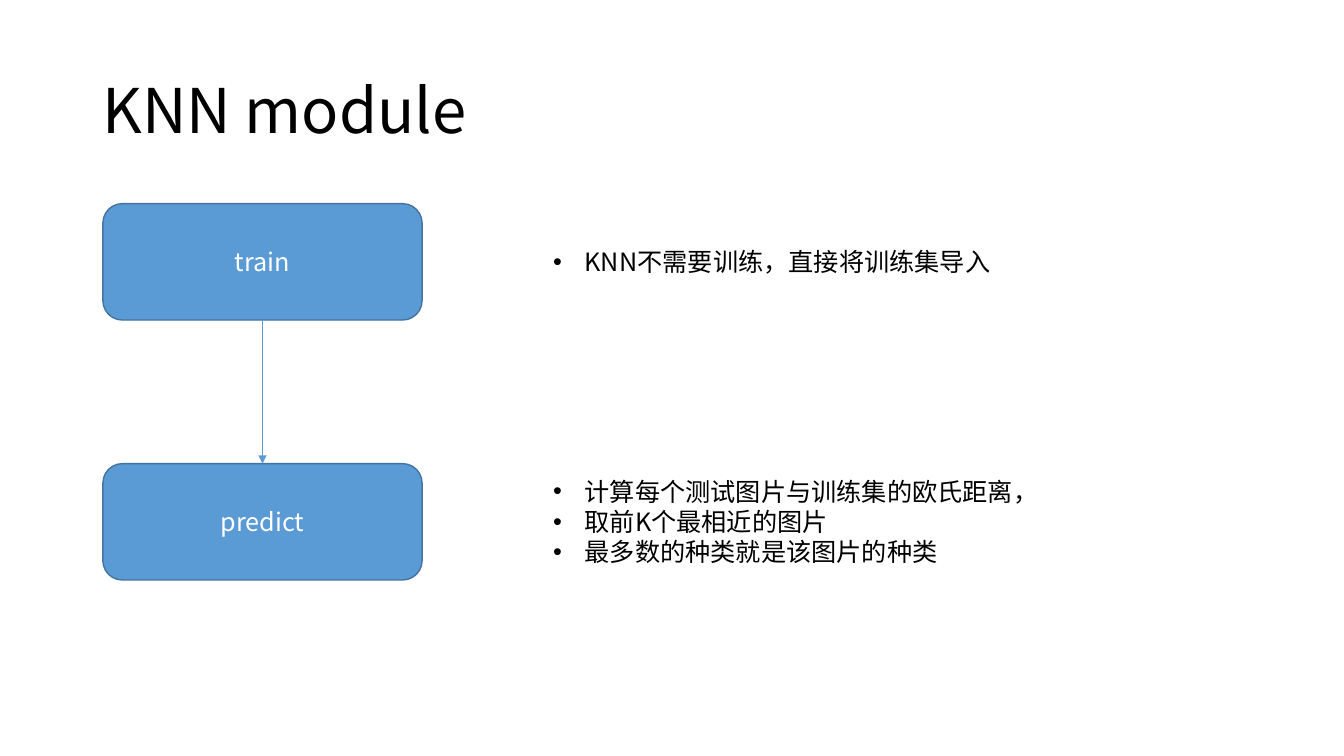
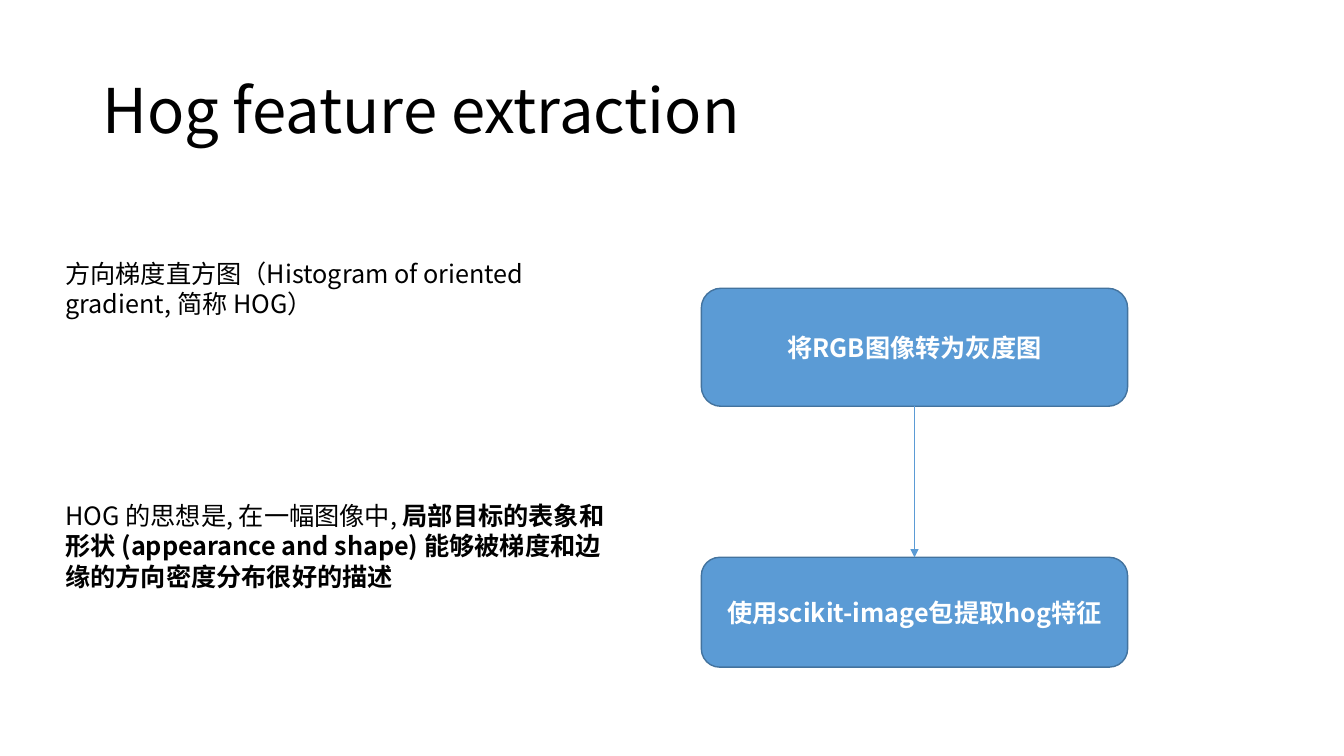
"""Build two slides that explain a KNN module and HOG features."""
from dataclasses import dataclass

from lxml.etree import SubElement
from pptx import Presentation
from pptx.dml.color import RGBColor
from pptx.enum.shapes import MSO_CONNECTOR, MSO_SHAPE
from pptx.enum.text import MSO_ANCHOR, PP_ALIGN
from pptx.oxml.ns import qn
from pptx.util import Inches, Pt


@dataclass(frozen=True)
class Theme:
    font: str = "Noto Sans CJK SC"
    ink: str = "000000"
    paper: str = "FFFFFF"
    fill: str = "5B9BD5"
    edge: str = "43739E"
    head: int = 44
    body: int = 18
    cols: int = 64
    rows: int = 36
    cell: int = Inches(7.5) // 36
    line: float = 1.46
    pad: float = 0.46
    hang: float = 1.5


class Deck:
    def __init__(self, theme):
        self.theme = theme
        self.prs = Presentation()
        self.prs.slide_width = self.size(theme.cols)
        self.prs.slide_height = self.size(theme.rows)

    def size(self, cells):
        return round(cells * self.theme.cell)

    def place(self, *cells):
        return [self.size(n) for n in cells]

    def style(self, para, color, size, bold=False):
        for run in para.runs:
            run.font.size = Pt(size)
            run.font.bold = bold
            run.font.color.rgb = RGBColor.from_string(color)
            run.font.name = self.theme.font
            SubElement(run.font._element, qn("a:ea"), typeface=self.theme.font)

    def slide(self, title):
        self.page = self.prs.slides.add_slide(self.prs.slide_layouts[6])
        frame = self.text(4.4, 1.92, 55.2, 6.96, [title], self.theme.head)
        frame.vertical_anchor = MSO_ANCHOR.MIDDLE
        frame.paragraphs[0].line_spacing = 0.9

    def text(self, x, y, w, h, lines, size=None):
        area = self.page.shapes.add_textbox(*self.place(x, y, w, h))
        frame = area.text_frame
        frame.word_wrap = True
        frame.text = "\n".join(lines)
        for para in frame.paragraphs:
            self.style(para, self.theme.ink, size or self.theme.body)
        return frame

    def notes(self, x, mid, w, lines):
        high = self.theme.line * len(lines) + self.theme.pad
        frame = self.text(x, mid - high / 2, w, high, lines)
        hang = self.size(self.theme.hang)
        for para in frame.paragraphs:
            props = para._p.get_or_add_pPr()
            props.set("marL", str(hang))
            props.set("indent", str(-hang))
            SubElement(props, qn("a:buFont"), typeface="Arial")
            SubElement(props, qn("a:buChar"), char="•")

    def box(self, x, y, w, h, label, bold=False):
        shape = self.page.shapes.add_shape(
            MSO_SHAPE.ROUNDED_RECTANGLE, *self.place(x, y, w, h))
        shape.shadow.inherit = False
        shape.fill.solid()
        shape.fill.fore_color.rgb = RGBColor.from_string(self.theme.fill)
        shape.line.color.rgb = RGBColor.from_string(self.theme.edge)
        shape.line.width = Pt(1)
        frame = shape.text_frame
        frame.text = label
        frame.word_wrap = True
        frame.vertical_anchor = MSO_ANCHOR.MIDDLE
        para = frame.paragraphs[0]
        para.alignment = PP_ALIGN.CENTER
        self.style(para, self.theme.paper, self.theme.body, bold)
        return shape

    def arrow(self, start, end):
        link = self.page.shapes.add_connector(MSO_CONNECTOR.STRAIGHT, 0, 0, 0, 0)
        link.begin_connect(start, 2)
        link.end_connect(end, 0)
        link.line.color.rgb = RGBColor.from_string(self.theme.fill)
        link.line.width = Pt(0.5)
        SubElement(link.line._get_or_add_ln(), qn("a:tailEnd"), type="triangle")
        SubElement(link._element.spPr, qn("a:effectLst"))


def knn(deck):
    deck.slide("KNN module")
    high = 5.54
    steps = [
        (9.7, "train", ["KNN不需要训练，直接将训练集导入"]),
        (22.08, "predict", ["计算每个测试图片与训练集的欧氏距离，",
                            "取前K个最相近的图片",
                            "最多数的种类就是该图片的种类"]),
    ]
    boxes = []
    for top, label, lines in steps:
        boxes.append(deck.box(4.9, top, 15.2, high, label))
        deck.notes(25.87, top + high / 2, 29.18, lines)
    deck.arrow(*boxes)


def hog(deck):
    deck.slide("Hog feature extraction")
    steps = [(13.73, 5.62, "将RGB图像转为灰度图"),
             (26.54, 5.23, "使用scikit-image包提取hog特征")]
    deck.arrow(*[deck.box(33.4, top, 20.3, high, label, True)
                 for top, high, label in steps])
    frame = deck.text(2.64, 12.05, 26.7, 16.46, [
        "方向梯度直方图（Histogram of oriented gradient, 简称 HOG）",
        "HOG 的思想是, 在一幅图像中, "])
    idea = frame.paragraphs[1]
    idea.space_before = Pt(130)
    idea.add_run().text = (
        "局部目标的表象和形状 (appearance and shape) "
        "能够被梯度和边缘的方向密度分布很好的描述")
    deck.style(idea, deck.theme.ink, deck.theme.body)
    idea.runs[1].font.bold = True


def main():
    deck = Deck(Theme())
    knn(deck)
    hog(deck)
    deck.prs.save("out.pptx")


if __name__ == "__main__":
    main()
